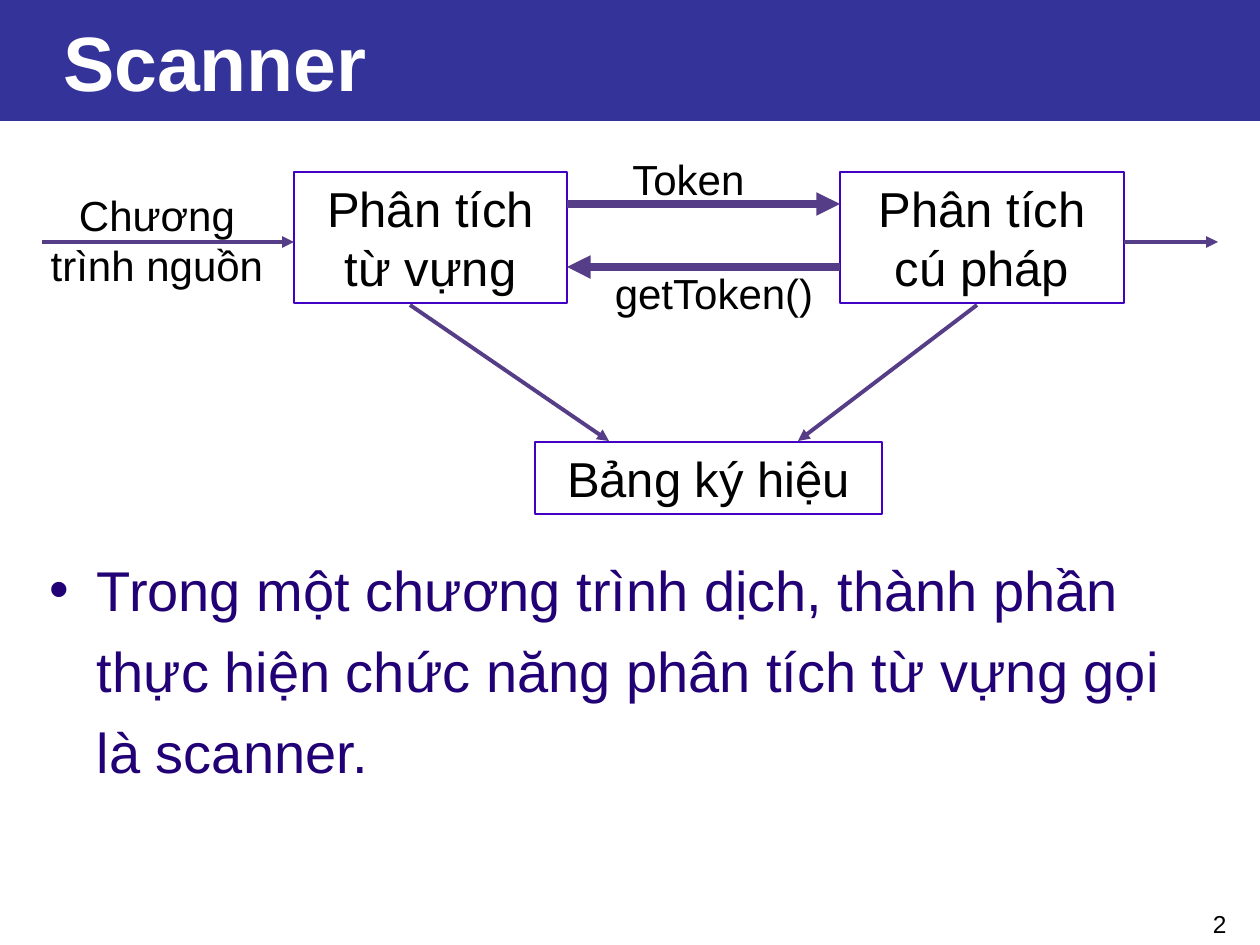
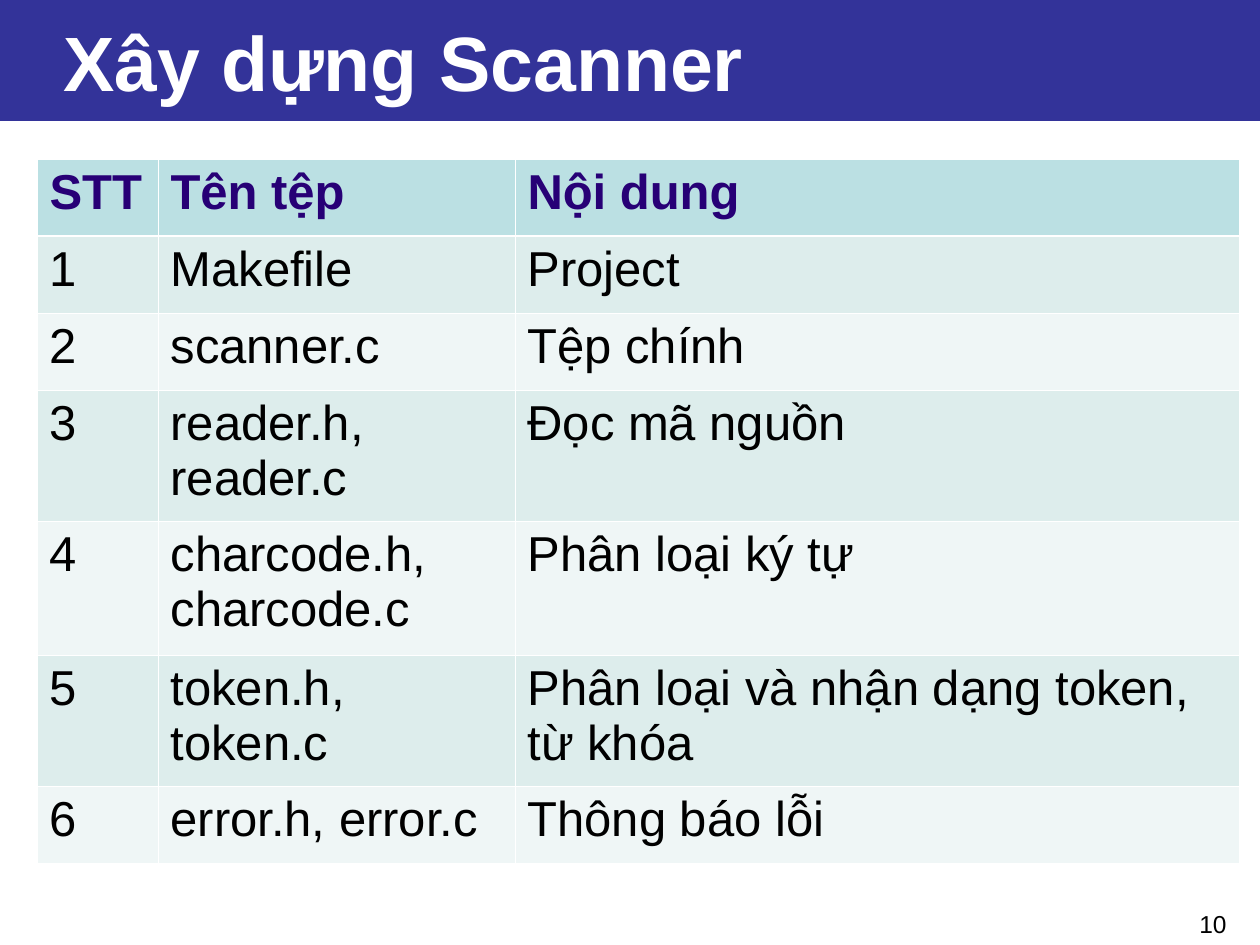
from lxml import etree
from pptx import Presentation
from pptx import util as u
from pptx.dml.color import RGBColor
from pptx.enum import shapes, text
from pptx.oxml.ns import qn

PX = u.Inches(1) / 126
FONT = "Arial"
BAND, WHITE, BLACK = "333399", "FFFFFF", "000000"
BODY_INK, HEADER_INK = "220076", "270076"
BOX_LINE, ARROW = "4100C4", "563D87"
HEADER_FILL, ROW_FILLS = "BBE0E3", ("DDEDEC", "EFF6F6")

FILES = [
    ("STT", "Tên tệp", "Nội dung"),
    ("1", "Makefile", "Project"),
    ("2", "scanner.c", "Tệp chính"),
    ("3", "reader.h, reader.c", "Đọc mã nguồn"),
    ("4", "charcode.h, charcode.c", "Phân loại ký tự"),
    ("5", "token.h, token.c", "Phân loại và nhận dạng token, từ khóa"),
    ("6", "error.h, error.c", "Thông báo lỗi"),
]
COLUMN_WIDTHS = (121, 357, 724)
ROW_HEIGHTS = (77, 77, 77, 131, 134, 131, 77)


def px(*lengths):
    return [u.Emu(round(length * PX)) for length in lengths]


def color(value):
    return RGBColor.from_string(value)


def paint(fill, value):
    fill.solid()
    fill.fore_color.rgb = color(value)


def place(shape, *box):
    shape.left, shape.top, shape.width, shape.height = px(*box)


def write(frame, words, size, ink=BLACK, align=text.PP_ALIGN.LEFT, bold=False, before=None):
    """Fill the first paragraph of the frame with one run and return the paragraph."""
    paragraph = frame.paragraphs[0]
    paragraph.alignment = align
    if before is not None:
        paragraph.space_before = u.Pt(before)
    run = paragraph.add_run()
    run.text = words
    run.font.name, run.font.size, run.font.bold = FONT, u.Pt(size), bold
    run.font.color.rgb = color(ink)
    return paragraph


def add_slide(presentation, layout, title, number):
    slide = presentation.slides.add_slide(presentation.slide_layouts.get_by_name(layout))
    band = slide.shapes.title
    place(band, 0, 0, 1260, 121)
    paint(band.fill, BAND)
    frame = band.text_frame
    frame.auto_size = text.MSO_AUTO_SIZE.NONE
    frame.vertical_anchor = text.MSO_ANCHOR.MIDDLE
    frame.margin_left = px(63)[0]
    write(frame, title, 44, WHITE, bold=True)
    page = slide.shapes.add_textbox(*px(977, 903, 262, 30))
    page.text_frame.word_wrap = True
    write(page.text_frame, number, 14, align=text.PP_ALIGN.RIGHT)
    return slide


def add_body(slide, words):
    body = slide.placeholders[1]
    place(body, 37, 536, 1170, 378)
    body.text_frame.auto_size = text.MSO_AUTO_SIZE.NONE
    write(body.text_frame, words, 32, BODY_INK, before=8).line_spacing = 1.2


def add_box(slide, words, *box):
    shape = slide.shapes.add_shape(shapes.MSO_SHAPE.RECTANGLE, *px(*box))
    shape.shadow.inherit = False
    shape.fill.background()
    shape.line.color.rgb = color(BOX_LINE)
    shape.line.width = u.Pt(0.75)
    frame = shape.text_frame
    frame.word_wrap = True
    frame.vertical_anchor = text.MSO_ANCHOR.TOP
    frame.auto_size = text.MSO_AUTO_SIZE.SHAPE_TO_FIT_TEXT
    write(frame, words, 28, align=text.PP_ALIGN.CENTER, before=17.5)


def add_label(slide, words, *box, align=text.PP_ALIGN.CENTER):
    frame = slide.shapes.add_textbox(*px(*box)).text_frame
    frame.word_wrap = True
    frame.auto_size = text.MSO_AUTO_SIZE.SHAPE_TO_FIT_TEXT
    write(frame, words, 24, align=align, before=15)


def add_arrow(slide, *ends, width=2.25):
    """Draw a line from x1, y1 to x2, y2 with the arrowhead at the second point."""
    arrow = slide.shapes.add_connector(shapes.MSO_CONNECTOR.STRAIGHT, *px(*ends))
    arrow.line.color.rgb = color(ARROW)
    arrow.line.width = u.Pt(width)
    properties = arrow.element.spPr
    etree.SubElement(properties.find(qn("a:ln")), qn("a:tailEnd"), type="triangle")
    etree.SubElement(properties, qn("a:effectLst"))


def add_borders(cell, widths):
    """Add white borders; widths maps a side (L, R, T, B) to points."""
    properties = cell._tc.get_or_add_tcPr()
    for side, width in widths.items():
        line = etree.SubElement(properties, qn(f"a:ln{side}"), w=str(u.Pt(width)))
        fill = etree.SubElement(line, qn("a:solidFill"))
        etree.SubElement(fill, qn("a:srgbClr"), val=WHITE)


def add_file_table(slide):
    frame = slide.shapes.add_table(
        len(FILES), len(COLUMN_WIDTHS),
        *px(37, 159, sum(COLUMN_WIDTHS), sum(ROW_HEIGHTS)))
    table = frame.table
    for column, width in zip(table.columns, px(*COLUMN_WIDTHS)):
        column.width = width
    for row, height in zip(table.rows, px(*ROW_HEIGHTS)):
        row.height = height
    for row_index, values in enumerate(FILES):
        header = row_index == 0
        fill = HEADER_FILL if header else ROW_FILLS[(row_index - 1) % 2]
        top = 1.47 if row_index == 1 else 0.45
        bottom = 1.47 if header else 0.45
        for column_index, words in enumerate(values):
            cell = table.cell(row_index, column_index)
            add_borders(cell, {"L": 0.45, "R": 0.45, "T": top, "B": bottom})
            paint(cell.fill, fill)
            write(cell.text_frame, words, 28, HEADER_INK if header else BLACK, bold=header)


def add_scanner_diagram(slide):
    add_box(slide, "Phân tích từ vựng", 294, 172, 273, 131)
    add_box(slide, "Phân tích cú pháp", 840, 172, 284, 131)
    add_box(slide, "Bảng ký hiệu", 535, 442, 347, 72)
    add_arrow(slide, 567, 204, 840, 204, width=4.5)
    add_arrow(slide, 840, 267, 567, 267, width=4.5)
    add_label(slide, "Chương trình nguồn", 31, 183, 252, 113)
    add_arrow(slide, 42, 242, 294, 242)
    add_label(slide, "Token", 620, 147, 189, 63, align=text.PP_ALIGN.LEFT)
    add_label(slide, "getToken()", 583, 261, 262, 63)
    add_arrow(slide, 410, 305, 609, 441)
    add_arrow(slide, 977, 305, 798, 441)
    add_arrow(slide, 1124, 242, 1218, 242)


def main():
    presentation = Presentation()
    presentation.slide_width, presentation.slide_height = px(1260, 945)

    scanner = add_slide(presentation, "Title and Content", "Scanner", "2")
    add_body(scanner, "Trong một chương trình dịch, thành phần thực hiện "
                      "chức năng phân tích từ vựng gọi là scanner.")
    add_scanner_diagram(scanner)

    files = add_slide(presentation, "Title Only", "Xây dựng Scanner", "10")
    add_file_table(files)

    presentation.save("out.pptx")


if __name__ == "__main__":
    main()
